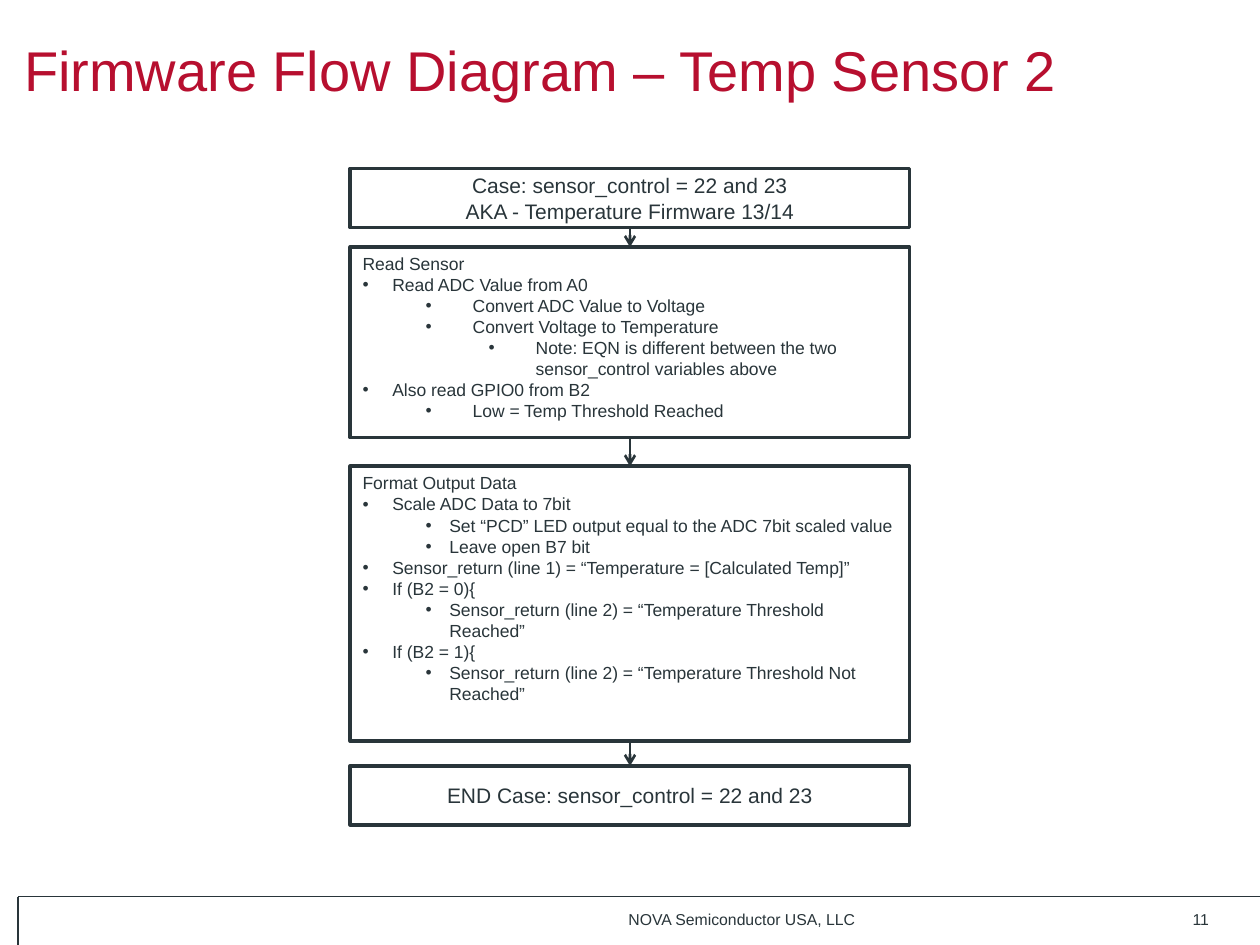
import lxml.etree
import pptx
import pptx.dml.color
import pptx.enum.shapes
import pptx.enum.text
import pptx.oxml.ns
import pptx.util

Cm = pptx.util.Cm
Pt = pptx.util.Pt
qn = pptx.oxml.ns.qn
ALIGN = pptx.enum.text.PP_ALIGN
ANCHOR = pptx.enum.text.MSO_ANCHOR
STRAIGHT = pptx.enum.shapes.MSO_CONNECTOR.STRAIGHT
INK = "29353A"


def color(hex_string):
    return pptx.dml.color.RGBColor.from_string(hex_string)


def add_run(paragraph, text, size, hex_string=INK):
    run = paragraph.add_run()
    run.text = text
    run.font.name = "Arial"
    run.font.size = Pt(size)
    run.font.color.rgb = color(hex_string)


presentation = pptx.Presentation()
presentation.slide_width = Cm(25.4)
presentation.slide_height = Cm(19.05)
slide = presentation.slides.add_slide(presentation.slide_layouts[5])

title = slide.shapes.title
title.left, title.top, title.width, title.height = Cm(0.23), Cm(0), Cm(22.48), Cm(2.77)
title.text_frame.vertical_anchor = ANCHOR.MIDDLE
title_paragraph = title.text_frame.paragraphs[0]
title_paragraph.alignment = ALIGN.LEFT
add_run(title_paragraph, "Firmware Flow Diagram – Temp Sensor 2", 32, "B70F2F")

# Footer texts
footers = [
    ("NOVA Semiconductor USA, LLC", 12.42, 5.64, ALIGN.LEFT),
    ("11", 22.28, 2.34, ALIGN.RIGHT),
]
for text, left, width, alignment in footers:
    footer = slide.shapes.add_textbox(Cm(left), Cm(18.21), Cm(width), Cm(0.84))
    footer.text_frame.word_wrap = True
    paragraph = footer.text_frame.paragraphs[0]
    paragraph.alignment = alignment
    add_run(paragraph, text, 9)

# List styles: level, left indent and hanging indent in cm
HEADING = (0, 0, 0)
TOP_ITEM = (0, 0.6, 0.6)
WIDE_ITEM = (1, 2.22, 0.95)
WIDE_NOTE = (2, 3.49, 0.95)
NARROW_ITEM = (1, 1.75, 0.48)

# Flow steps: top, height, font size, centred, lines
steps = [
    (3.4, 1.19, 12, True, [
        ("Case: sensor_control = 22 and 23", HEADING),
        ("AKA - Temperature Firmware 13/14", HEADING),
    ]),
    (4.98, 3.84, 10, False, [
        ("Read Sensor", HEADING),
        ("Read ADC Value from A0", TOP_ITEM),
        ("Convert ADC Value to Voltage", WIDE_ITEM),
        ("Convert Voltage to Temperature", WIDE_ITEM),
        ("Note: EQN is different between the two sensor_control variables above", WIDE_NOTE),
        ("Also read GPIO0 from B2", TOP_ITEM),
        ("Low = Temp Threshold Reached", WIDE_ITEM),
    ]),
    (9.4, 5.54, 10, False, [
        ("Format Output Data", HEADING),
        ("Scale ADC Data to 7bit", TOP_ITEM),
        ("Set “PCD” LED output equal to the ADC 7bit scaled value", NARROW_ITEM),
        ("Leave open B7 bit", NARROW_ITEM),
        ("Sensor_return (line 1) = “Temperature = [Calculated Temp]”", TOP_ITEM),
        ("If (B2 = 0){", TOP_ITEM),
        ("Sensor_return (line 2) = “Temperature Threshold Reached”", NARROW_ITEM),
        ("If (B2 = 1){", TOP_ITEM),
        ("Sensor_return (line 2) = “Temperature Threshold Not Reached”", NARROW_ITEM),
    ]),
    (15.44, 1.19, 12, True, [("END Case: sensor_control = 22 and 23", HEADING)]),
]
boxes = []
for top, height, size, centred, lines in steps:
    box = slide.shapes.add_shape(
        pptx.enum.shapes.MSO_SHAPE.RECTANGLE, Cm(7.06), Cm(top), Cm(11.28), Cm(height))
    box.shadow.inherit = False
    box.fill.solid()
    box.fill.fore_color.rgb = color("FFFFFF")
    box.line.color.rgb = color(INK)
    box.line.width = Pt(2)
    frame = box.text_frame
    frame.word_wrap = True
    frame.vertical_anchor = ANCHOR.MIDDLE if centred else ANCHOR.TOP
    for index, (text, (level, indent, hanging)) in enumerate(lines):
        paragraph = frame.add_paragraph() if index else frame.paragraphs[0]
        paragraph.alignment = ALIGN.CENTER if centred else ALIGN.LEFT
        paragraph.level = level
        if hanging:
            properties = paragraph._p.get_or_add_pPr()
            properties.set("marL", str(int(Cm(indent))))
            properties.set("indent", str(-int(Cm(hanging))))
            lxml.etree.SubElement(properties, qn("a:buFont"), typeface="Arial")
            lxml.etree.SubElement(properties, qn("a:buChar"), char="•")
        add_run(paragraph, text, size)
    boxes.append(box)

# Arrows between steps, then the two footer frame lines
connectors = []
for upper, lower in zip(boxes, boxes[1:]):
    arrow = slide.shapes.add_connector(STRAIGHT, 0, 0, 0, 0)
    arrow.begin_connect(upper, 2)
    arrow.end_connect(lower, 0)
    connectors.append((arrow, 1.5, True))
for end_x, end_y in [(25.4, 18.08), (0.36, 19.05)]:
    frame_line = slide.shapes.add_connector(
        STRAIGHT, Cm(0.36), Cm(18.08), Cm(end_x), Cm(end_y))
    connectors.append((frame_line, 0.75, False))
for connector, width, has_arrowhead in connectors:
    connector.line.color.rgb = color(INK)
    connector.line.width = Pt(width)
    shape_properties = connector._element.spPr
    if has_arrowhead:
        outline = shape_properties.find(qn("a:ln"))
        lxml.etree.SubElement(outline, qn("a:tailEnd"), type="arrow")
    lxml.etree.SubElement(shape_properties, qn("a:effectLst"))

presentation.save("out.pptx")
